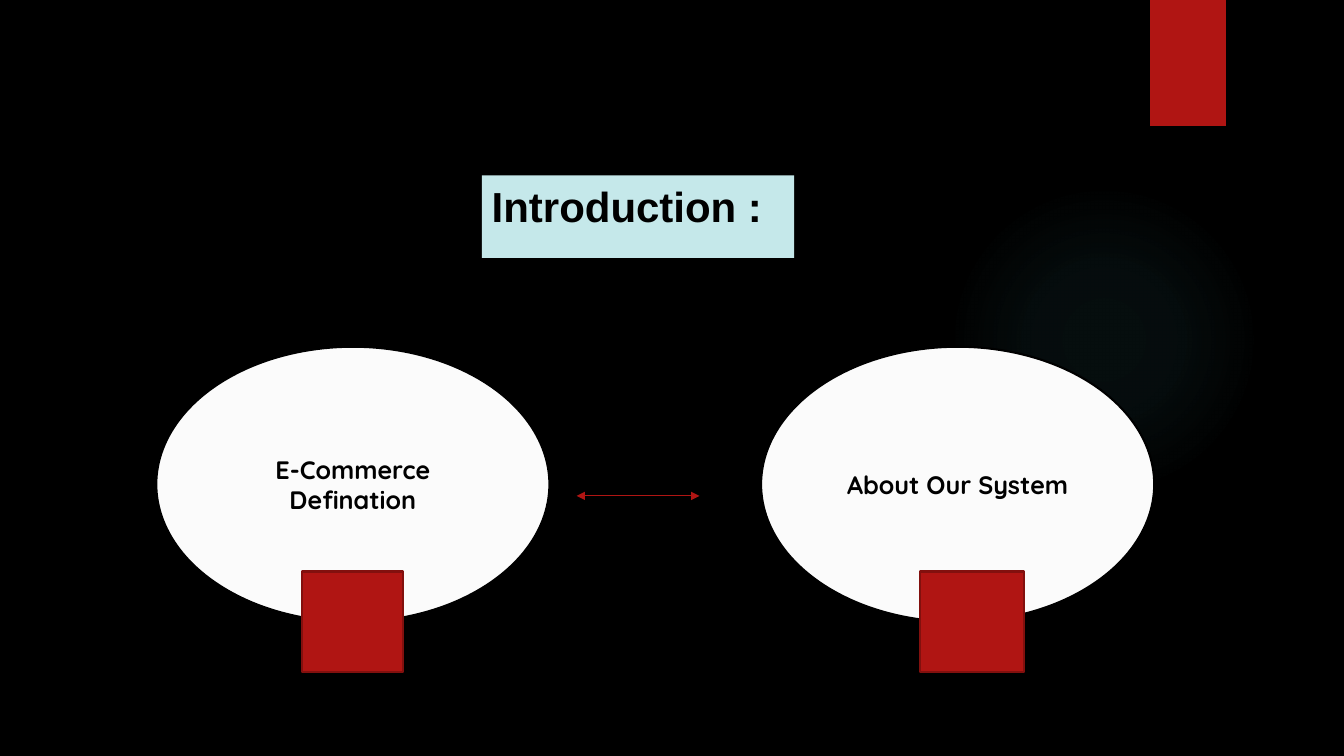
"""Build the introduction slide with two linked topics."""
from dataclasses import dataclass, field

from lxml import etree
from pptx import Presentation
from pptx.dml.color import RGBColor
from pptx.enum.shapes import MSO_CONNECTOR, MSO_SHAPE
from pptx.enum.text import MSO_ANCHOR, PP_ALIGN
from pptx.oxml import parse_xml
from pptx.oxml.ns import nsdecls, qn
from pptx.shapes.autoshape import Shape
from pptx.util import Inches, Pt

OVAL, RECT = MSO_SHAPE.OVAL, MSO_SHAPE.RECTANGLE
LINE = MSO_CONNECTOR.STRAIGHT
TOP, MIDDLE = MSO_ANCHOR.TOP, MSO_ANCHOR.MIDDLE
LEFT, CENTER = PP_ALIGN.LEFT, PP_ALIGN.CENTER
WIDE, HIGH = Inches(13.33), Inches(7.5)


@dataclass(frozen=True)
class Theme:
    black: str = "000000"
    red: str = "B01513"
    dark: str = "82100E"
    pale: str = "C5E8EA"
    white: str = "FBFBFB"
    glow: str = "50B9C1"
    edge: float = 1.5
    thin: float = 0.75
    title: dict = field(default_factory=lambda: {
        "name": "Arial", "size": Pt(30), "bold": True})
    label: dict = field(default_factory=lambda: {
        "name": "Quicksand", "size": Pt(18), "bold": True})


THEME = Theme()


@dataclass(frozen=True)
class Box:
    """Hold a block whose lengths are percent shares of the slide."""
    left: float
    top: float
    width: float
    height: float
    kind: MSO_SHAPE = RECT
    fill: str = THEME.red
    line: str = ""
    text: str = ""
    font: dict = field(default_factory=dict)
    align: PP_ALIGN = CENTER
    anchor: MSO_ANCHOR = MIDDLE


def across(share: float) -> int:
    """Turn a percent of the width into a length."""
    return round(WIDE * share / 100)


def down(share: float) -> int:
    """Turn a percent of the height into a length."""
    return round(HIGH * share / 100)


def write(shape: Shape, box: Box) -> None:
    """Put the text of a box into its shape."""
    frame = shape.text_frame
    frame.word_wrap = True
    frame.vertical_anchor = box.anchor
    line = frame.paragraphs[0]
    line.alignment = box.align
    run = line.add_run()
    run.text = box.text
    for name, value in box.font.items():
        setattr(run.font, name, value)
    run.font.color.rgb = RGBColor.from_string(THEME.black)


def draw(slide, box: Box) -> Shape:
    """Draw one box on the slide."""
    shape = slide.shapes.add_shape(
        box.kind, across(box.left), down(box.top),
        across(box.width), down(box.height))
    shape.shadow.inherit = False
    shape.fill.solid()
    shape.fill.fore_color.rgb = RGBColor.from_string(box.fill)
    if box.line:
        shape.line.color.rgb = RGBColor.from_string(box.line)
        shape.line.width = Pt(THEME.edge)
    else:
        shape.line.fill.background()
    if box.text:
        write(shape, box)
    return shape


def soften(shape: Shape, color: str, stops: dict[int, int]) -> None:
    """Fade a shape from its center by percent stops and alphas."""
    marks = "".join(
        f'<a:gs pos="{spot * 1000}"><a:srgbClr val="{color}">'
        f'<a:alpha val="{alpha * 1000}"/></a:srgbClr></a:gs>'
        for spot, alpha in stops.items())
    fade = parse_xml(
        f'<a:gradFill {nsdecls("a")}><a:gsLst>{marks}</a:gsLst>'
        '<a:path path="circle"><a:fillToRect l="50000" t="50000" '
        'r="50000" b="50000"/></a:path></a:gradFill>')
    props = shape._element.spPr
    props.replace(props.find(qn("a:solidFill")), fade)


def link(slide, start: float, end: float, level: float) -> None:
    """Draw a level arrow with a head at each end."""
    arrow = slide.shapes.add_connector(
        LINE, across(start), down(level), across(end), down(level))
    arrow.line.color.rgb = RGBColor.from_string(THEME.red)
    arrow.line.width = Pt(THEME.thin)
    stroke = arrow.line._get_or_add_ln()
    for end_name in ("a:headEnd", "a:tailEnd"):
        etree.SubElement(stroke, qn(end_name), type="triangle")
    etree.SubElement(arrow._element.spPr, qn("a:effectLst"))


GLOW = Box(70.58, 24.4, 23.1, 41.07, OVAL, THEME.glow)
TAB = Box(85.58, 0, 5.63, 16.67)
TITLE = Box(35.85, 23.2, 23.25, 10.93, RECT, THEME.pale, "",
            "Introduction :", THEME.title, LEFT, TOP)
TOPICS = [
    Box(11.63 + 45 * step, 45.87, 29.25, 36.4, OVAL, THEME.white,
        THEME.black, text, THEME.label)
    for step, text in enumerate(("E-Commerce Defination", "About Our System"))]
FEET = [Box(left, 75.6, width, 13.33, line=THEME.dark)
        for left, width in ((22.5, 7.5), (68.48, 7.73))]


def main() -> None:
    """Build and save the deck."""
    deck = Presentation()
    deck.slide_width, deck.slide_height = WIDE, HIGH
    slide = deck.slides.add_slide(deck.slide_layouts[6])
    back = slide.background.fill
    back.solid()
    back.fore_color.rgb = RGBColor.from_string(THEME.black)
    soften(draw(slide, GLOW), THEME.glow, {0: 7, 36: 6, 69: 0, 100: 0})
    for box in (TAB, TITLE, *TOPICS, *FEET):
        draw(slide, box)
    link(slide, 42.9, 52.05, 65.6)
    deck.save("out.pptx")


if __name__ == "__main__":
    main()
